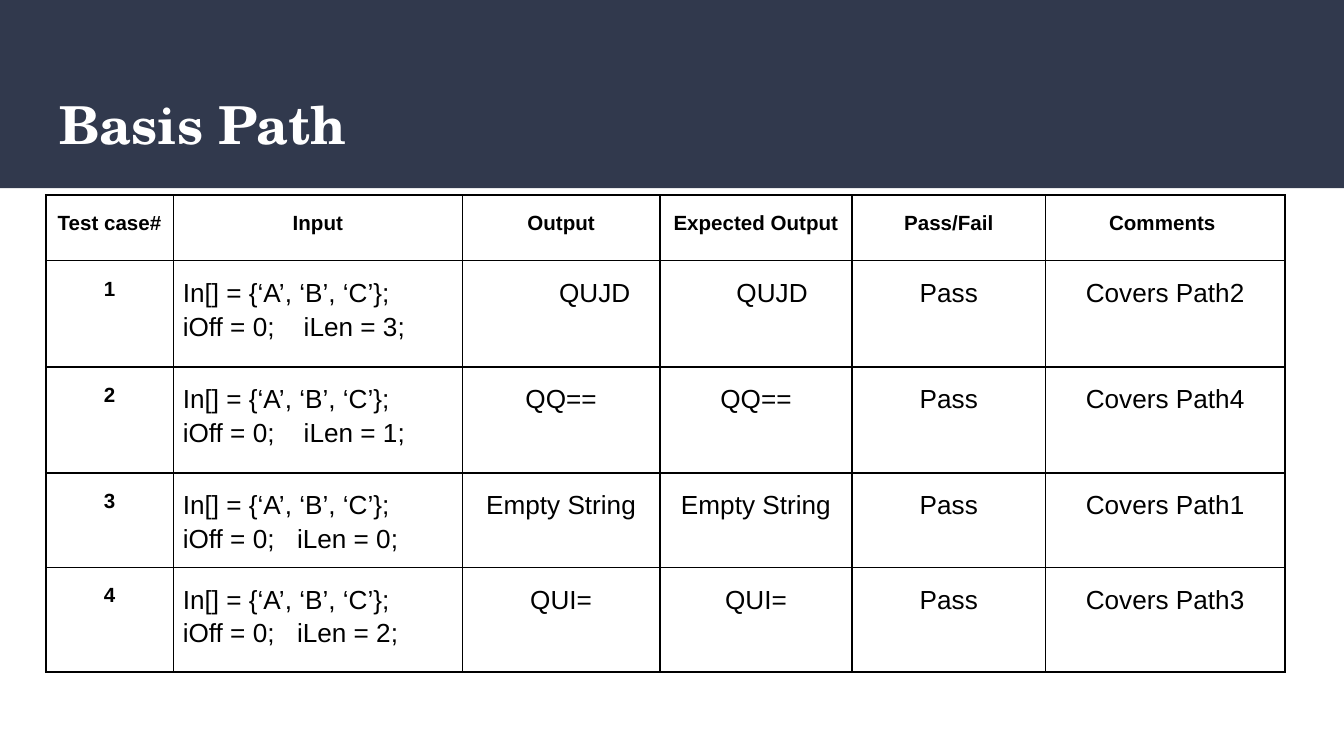
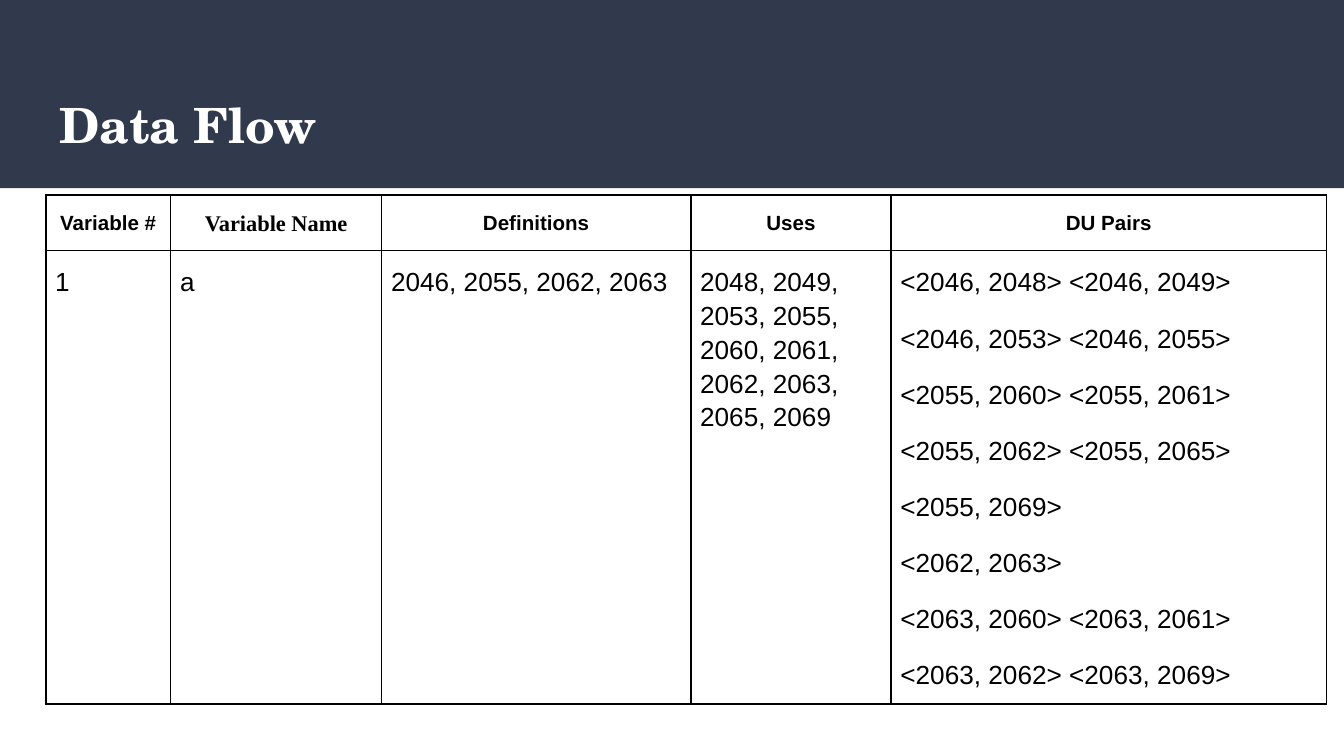
from dataclasses import dataclass

from lxml import etree
from pptx import Presentation
from pptx.dml.color import RGBColor
from pptx.enum.shapes import MSO_SHAPE
from pptx.enum.text import MSO_ANCHOR, MSO_AUTO_SIZE, PP_ALIGN
from pptx.oxml.ns import qn
from pptx.util import Inches, Pt

RECT = MSO_SHAPE.RECTANGLE
LEFT, CENTER = PP_ALIGN.LEFT, PP_ALIGN.CENTER
TOP, MIDDLE = MSO_ANCHOR.TOP, MSO_ANCHOR.MIDDLE
NO_FIT = MSO_AUTO_SIZE.NONE


@dataclass(frozen=True)
class Theme:
    band: str = "31394D"
    title: str = "FFFFFF"
    ink: str = "000000"
    title_font: str = "TeX Gyre Schola"
    font: str = "Arial"
    alt_font: str = "Times New Roman"
    head_size: int = 11
    alt_size: int = 12
    body_size: int = 14
    gap: int = 12
    leading: float = 1.15
    border: int = 1


THEME = Theme()

# Cell styles: alignment, size, bold, font, left indent and tab stop in inches
STYLES = {
    "head": (CENTER, THEME.head_size, True, THEME.font, 0, 0),
    "alt head": (CENTER, THEME.alt_size, True, THEME.alt_font, 0, 0),
    "left": (LEFT, THEME.body_size, False, THEME.font, 0, 0),
    "center": (CENTER, THEME.body_size, False, THEME.font, 0, 0),
    "left indent": (LEFT, THEME.body_size, False, THEME.font, 0.5, 0),
    "center indent": (CENTER, THEME.body_size, False, THEME.font, 0.5, 0),
    "code": (LEFT, THEME.body_size, False, THEME.font, 0, 0.9),
    "tight code": (LEFT, THEME.body_size, False, THEME.font, 0, 0.85),
}

# Content: "\n" parts paragraphs, "\v" breaks a line, "\t" goes to the tab stop
INPUT = "In[] = {‘A’, ‘B’, ‘C’};\viOff = 0;\tiLen = %d;"
RESULTS = [(3, "QUJD", 2), (1, "QQ==", 4), (0, "Empty String", 1), (2, "QUI=", 3)]
DU_PAIRS = [
    "<2046, 2048> <2046, 2049>",
    "<2046, 2053> <2046, 2055>",
    "<2055, 2060> <2055, 2061>",
    "<2055, 2062> <2055, 2065>",
    "<2055, 2069>",
    "<2062, 2063>",
    "<2063, 2060> <2063, 2061>",
    "<2063, 2062> <2063, 2069>",
]

SLIDES = [
    {
        "title": "Basis Path",
        "title_size": 28,
        "cols": [0.95, 2.15, 1.47, 1.43, 1.44, 1.78],
        "row_heights": [0.49, 0.79, 0.79, 0.69, 0.78],
        "head": ["Test case#", "Input", "Output", "Expected Output", "Pass/Fail", "Comments "],
        "body": [
            [str(n), INPUT % length, out, out, "Pass", f"Covers Path{route}"]
            for n, (length, out, route) in enumerate(RESULTS, 1)
        ],
        "col_styles": ["head", "code", "center", "center", "center", "center"],
        "special": {
            (1, 2): "center indent",
            (1, 3): "left indent",
            (3, 1): "tight code",
            (4, 1): "tight code",
        },
    },
    {
        "title": "Data Flow",
        "title_size": 26,
        "cols": [0.93, 1.57, 2.3, 1.49, 3.24],
        "row_heights": [0.37, 2.65],
        "head": ["Variable #", "Variable Name", "Definitions", "Uses", "DU Pairs"],
        "body": [[
            "1",
            "a",
            "2046, 2055, 2062, 2063",
            "2048, 2049, 2053, 2055, 2060, 2061, 2062, 2063, 2065, 2069",
            "\n".join(DU_PAIRS),
        ]],
        "col_styles": ["left"] * 5,
        "special": {(0, 1): "alt head"},
    },
]


def rgb(color):
    return RGBColor.from_string(color)


def style_runs(p, size, bold, font, color):
    for r in p.runs:
        r.font.size = Pt(size)
        r.font.bold = bold
        r.font.name = font
        r.font.color.rgb = rgb(color)


def add_master_band(prs, slide):
    """Draw the header band and move it to the back of the slide master."""
    sp = slide.shapes.add_shape(RECT, 0, 0, prs.slide_width, Inches(1.4))
    sp.shadow.inherit = False
    sp.fill.solid()
    sp.fill.fore_color.rgb = rgb(THEME.band)
    sp.line.fill.background()
    prs.slide_master.element.cSld.spTree.insert(2, sp.element)


def set_title(slide, text, size):
    title = slide.shapes.title
    title.left, title.top = Inches(0.34), Inches(0.58)
    title.width, title.height = Inches(9.32), Inches(0.68)
    tf = title.text_frame
    tf.text = text
    tf.word_wrap = True
    tf.auto_size = NO_FIT
    tf.vertical_anchor = MIDDLE
    tf.margin_left = tf.margin_right = tf.margin_top = tf.margin_bottom = Inches(0.1)
    p = tf.paragraphs[0]
    p.alignment = LEFT
    style_runs(p, size, True, THEME.title_font, THEME.title)


def set_borders(cell):
    tc_pr = cell._tc.get_or_add_tcPr()
    for i, side in enumerate(("lnL", "lnR", "lnT", "lnB")):
        ln = etree.Element(qn(f"a:{side}"), w=str(Pt(THEME.border)))
        fill = etree.SubElement(ln, qn("a:solidFill"))
        etree.SubElement(fill, qn("a:srgbClr"), val=THEME.ink)
        tc_pr.insert(i, ln)


def fill_cell(cell, text, style):
    align, size, bold, font, indent, tab = STYLES[style]
    cell.fill.background()
    set_borders(cell)
    cell.margin_left = cell.margin_right = Inches(0.07)
    cell.margin_top = cell.margin_bottom = Inches(0.1)
    cell.vertical_anchor = TOP
    tf = cell.text_frame
    tf.text = text
    for p in tf.paragraphs:
        p.alignment = align
        p.line_spacing = THEME.leading
        p.space_before = Pt(THEME.gap)
        p.space_after = Pt(0)
        p_pr = p._p.get_or_add_pPr()
        if indent:
            p_pr.set("marL", str(Inches(indent)))
            p_pr.set("indent", "0")
        if tab:
            tabs = etree.SubElement(p_pr, qn("a:tabLst"))
            etree.SubElement(tabs, qn("a:tab"), pos=str(Inches(tab)), algn="l")
        style_runs(p, size, bold, font, THEME.ink)
    tf.paragraphs[-1].space_after = Pt(THEME.gap)


def add_grid(slide, data):
    cols, heights = data["cols"], data["row_heights"]
    table = slide.shapes.add_table(
        len(heights), len(cols), Inches(0.34), Inches(1.45),
        Inches(sum(cols)), Inches(sum(heights))).table
    table.first_row = table.horz_banding = False
    for col, width in zip(table.columns, cols):
        col.width = Inches(width)
    for row, height in zip(table.rows, heights):
        row.height = Inches(height)
    for i, texts in enumerate([data["head"]] + data["body"]):
        for j, text in enumerate(texts):
            style = data["col_styles"][j] if i else "head"
            fill_cell(table.cell(i, j), text, data["special"].get((i, j), style))


def main():
    prs = Presentation()
    # Widescreen, 16:9
    prs.slide_width = Inches(10)
    prs.slide_height = prs.slide_width * 9 // 16
    title_only = prs.slide_layouts[5]
    for i, data in enumerate(SLIDES):
        slide = prs.slides.add_slide(title_only)
        if i == 0:
            add_master_band(prs, slide)
        set_title(slide, data["title"], data["title_size"])
        add_grid(slide, data)
    prs.save("out.pptx")


if __name__ == "__main__":
    main()
